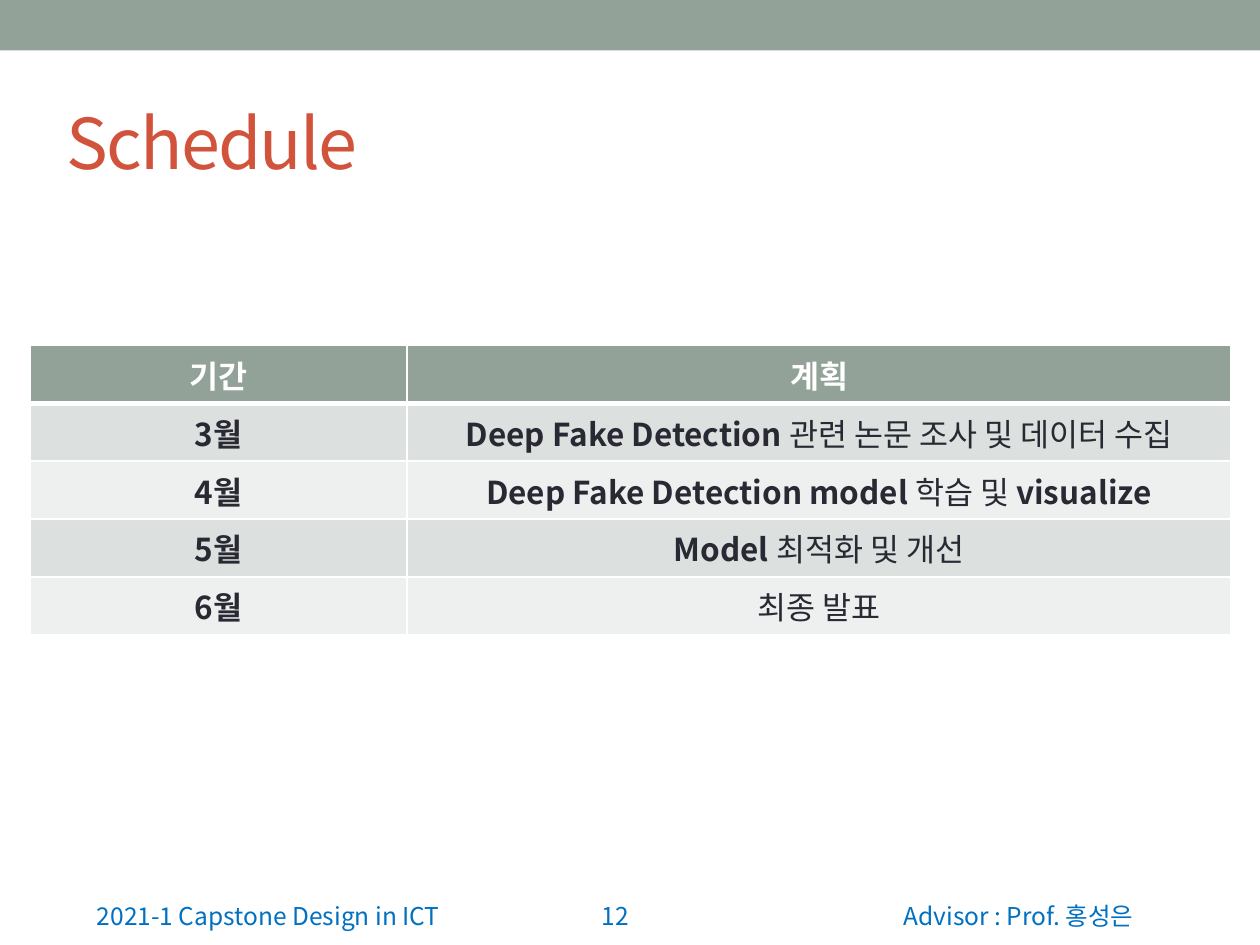
from typing import NamedTuple

from lxml import etree
from pptx import Presentation
from pptx import util as u
from pptx.dml.color import RGBColor
from pptx.enum import shapes, text
from pptx.oxml.ns import qn

WIDTH, HEIGHT = 10, 7.5
FONT = "Noto Sans CJK KR"
SAGE, RED, BLUE, INK, WHITE = "93A299", "D2533C", "0070C0", "292934", "FFFFFF"
BANDS = ("DCE0DE", "EEF0EF")
ALIGN, ANCHOR = text.PP_ALIGN, text.MSO_ANCHOR


class Box(NamedTuple):
    left: float
    top: float
    width: float
    height: float

    def lengths(self) -> list[u.Inches]:
        return [u.Inches(value) for value in self]


class Label(NamedTuple):
    words: str
    box: Box
    size: float
    color: str
    align: ALIGN
    anchor: ANCHOR
    spacing: float = 0


class Piece(NamedTuple):
    words: str
    bold: bool = True


FOOTER_TOP, FOOTER_HEIGHT, FOOTER_WIDTH = 6.93, 0.5, 3.17


def footer(words: str, left: float, width: float, align: ALIGN) -> Label:
    box = Box(left, FOOTER_TOP, width, FOOTER_HEIGHT)
    return Label(words, box, 14, BLUE, align, ANCHOR.BOTTOM)


LABELS = [
    footer("12", 4.13, 0.96, ALIGN.RIGHT),
    footer("Advisor : Prof. 홍성은", 6.5, FOOTER_WIDTH, ALIGN.CENTER),
    footer("2021-1 Capstone Design in ICT", 0.67, FOOTER_WIDTH, ALIGN.LEFT),
    Label("Schedule", Box(0.43, 0.58, 9, 1.08), 40, RED, ALIGN.LEFT, ANCHOR.MIDDLE, -1),
]

COLUMN_WIDTHS = (2.99, 6.54)
ROW_HEIGHT = 0.46
SCHEDULE = [
    ([Piece("기간")], [Piece("계획")]),
    ([Piece("3월")],
     [Piece("Deep Fake Detection "), Piece("관련 논문 조사 및 데이터 수집", False)]),
    ([Piece("4월")],
     [Piece("Deep Fake Detection model "), Piece("학습 및 ", False), Piece("visualize")]),
    ([Piece("5월")], [Piece("Model "), Piece("최적화 및 개선", False)]),
    ([Piece("6월")], [Piece("최종 발표", False)]),
]


def rgb(color: str) -> RGBColor:
    return RGBColor.from_string(color)


def write(paragraph, pieces: list[Piece], size: float, color: str, align: ALIGN,
          spacing: float = 0) -> None:
    paragraph.alignment = align
    font = paragraph.font
    font.name, font.size = FONT, u.Pt(size)
    font.color.rgb = rgb(color)
    defaults = paragraph._p.pPr.find(qn("a:defRPr"))
    etree.SubElement(defaults, qn("a:ea"), typeface=FONT)
    for piece in pieces:
        run = paragraph.add_run()
        run.text, run.font.bold = piece.words, piece.bold
        if spacing:
            run.font._element.set("spc", str(round(spacing * 100)))


def add_label(slide, label: Label) -> None:
    frame = slide.shapes.add_textbox(*label.box.lengths()).text_frame
    frame.word_wrap = True
    frame.vertical_anchor = label.anchor
    write(frame.paragraphs[0], [Piece(label.words, False)], label.size, label.color,
          label.align, label.spacing)


def add_borders(cell, bottom: float) -> None:
    """Draw white cell borders, 1 pt except for the bottom one."""
    properties = cell._tc.get_or_add_tcPr()
    widths = {"lnL": 1, "lnR": 1, "lnT": 1, "lnB": bottom}
    for index, (side, width) in enumerate(widths.items()):
        line = etree.Element(qn(f"a:{side}"), w=str(u.Pt(width)))
        fill = etree.SubElement(line, qn("a:solidFill"))
        etree.SubElement(fill, qn("a:srgbClr"), val=WHITE)
        properties.insert(index, line)


def add_schedule(slide) -> None:
    box = Box(0.24, 2.74, sum(COLUMN_WIDTHS), ROW_HEIGHT * len(SCHEDULE))
    table = slide.shapes.add_table(
        len(SCHEDULE), len(COLUMN_WIDTHS), *box.lengths()).table
    for column, width in zip(table.columns, COLUMN_WIDTHS):
        column.width = u.Inches(width)
    for row, entries in enumerate(SCHEDULE):
        header = row == 0
        for column, pieces in enumerate(entries):
            cell = table.cell(row, column)
            cell.fill.solid()
            cell.fill.fore_color.rgb = rgb(SAGE if header else BANDS[(row - 1) % 2])
            add_borders(cell, bottom=3 if header else 1)
            write(cell.text_frame.paragraphs[0], pieces, 18,
                  WHITE if header else INK, ALIGN.CENTER)


def add_top_band(slide) -> None:
    band = slide.shapes.add_shape(
        shapes.MSO_SHAPE.RECTANGLE, *Box(0, 0, WIDTH, 0.4).lengths())
    band.shadow.inherit = False
    band.fill.solid()
    band.fill.fore_color.rgb = rgb(SAGE)
    band.line.fill.background()


def main() -> None:
    presentation = Presentation()
    presentation.slide_width = u.Inches(WIDTH)
    presentation.slide_height = u.Inches(HEIGHT)
    slide = presentation.slides.add_slide(presentation.slide_layouts[6])
    add_top_band(slide)
    for label in LABELS:
        add_label(slide, label)
    add_schedule(slide)
    presentation.save("out.pptx")


if __name__ == "__main__":
    main()
